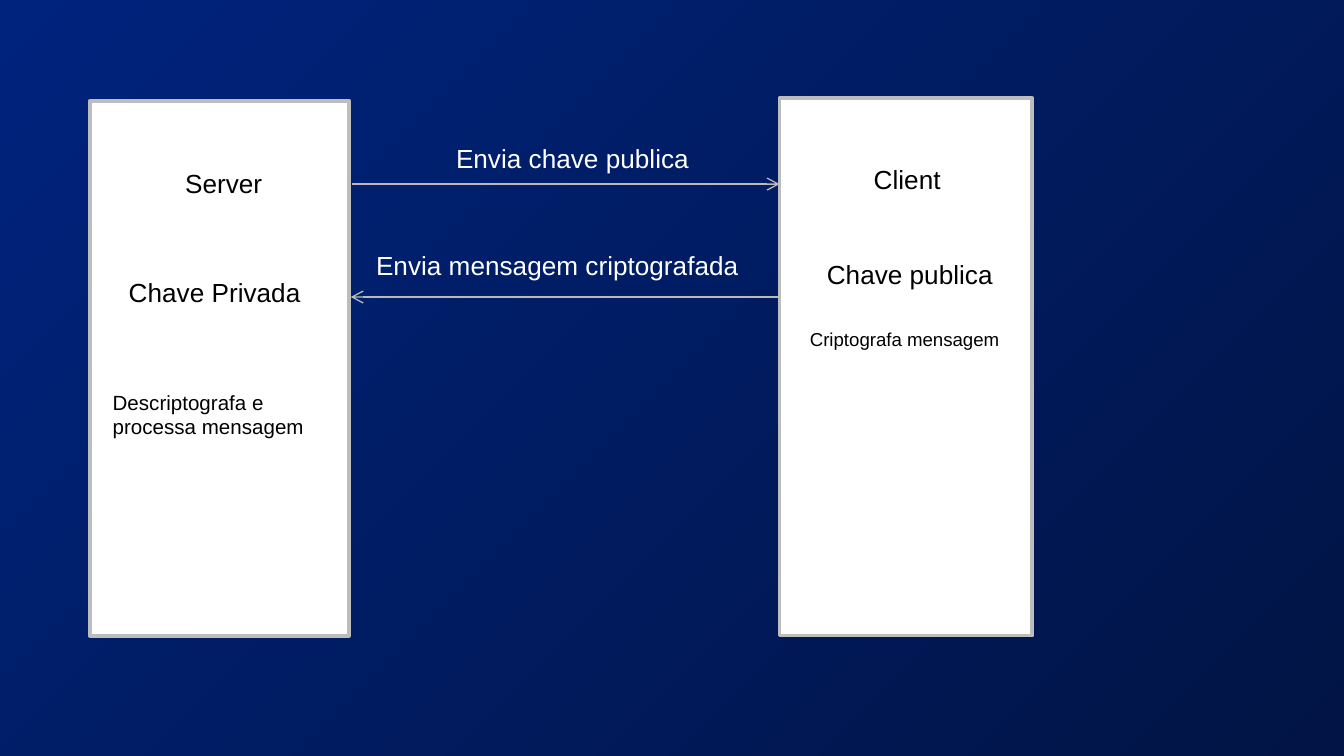
from lxml import etree
from pptx import Presentation
from pptx.dml.color import RGBColor
from pptx.enum.shapes import MSO_CONNECTOR, MSO_SHAPE
from pptx.enum.text import MSO_AUTO_SIZE, PP_ALIGN
from pptx.oxml.ns import qn
from pptx.util import Inches, Pt

LINE = MSO_CONNECTOR.STRAIGHT
RECT = MSO_SHAPE.RECTANGLE
GROW = MSO_AUTO_SIZE.SHAPE_TO_FIT_TEXT
LEFT = PP_ALIGN.LEFT
MID = PP_ALIGN.CENTER

NAVY = RGBColor(0x00, 0x23, 0x7D)
NIGHT = RGBColor(0x01, 0x14, 0x45)
WHITE = RGBColor(0xFF, 0xFF, 0xFF)
BLACK = RGBColor(0x00, 0x00, 0x00)
EDGE = RGBColor(0xBD, 0xBD, 0xBD)
GREY = RGBColor(0xB9, 0xB9, 0xB9)

COLS = 100
FONT = "Arial"


class Board:
    def __init__(self, deck):
        self.slide = deck.slides.add_slide(deck.slide_layouts[6])
        self.shapes = self.slide.shapes
        self.unit = deck.slide_width / COLS

    def grid(self, *cells):
        return [round(cell * self.unit) for cell in cells]

    def back(self, start, end):
        fill = self.slide.background.fill
        fill.gradient()
        fill.gradient_angle = 315
        for stop, color, place in zip(fill.gradient_stops, (start, end), (0, 1)):
            stop.color.rgb = color
            stop.position = place

    def arrow(self, start, end, row):
        link = self.shapes.add_connector(LINE, *self.grid(start, row, end, row))
        link.line.color.rgb = GREY
        link.line.width = Pt(0.75)
        tip = etree.SubElement(link.line._get_or_add_ln(), qn("a:tailEnd"))
        tip.set("type", "arrow")
        etree.SubElement(link._element.spPr, qn("a:effectLst"))

    def label(self, text, area, color=WHITE, size=14, align=MID, home=None):
        box = (home or self.shapes).add_textbox(*self.grid(*area))
        frame = box.text_frame
        frame.word_wrap = True
        frame.auto_size = GROW
        para = frame.paragraphs[0]
        para.alignment = align
        run = para.add_run()
        run.text = text
        run.font.name = FONT
        run.font.size = Pt(size)
        run.font.color.rgb = color

    def panel(self, area, labels):
        home = self.shapes.add_group_shape().shapes
        box = home.add_shape(RECT, *self.grid(*area))
        box.shadow.inherit = False
        box.fill.solid()
        box.fill.fore_color.rgb = WHITE
        box.line.color.rgb = EDGE
        box.line.width = Pt(2)
        for text, place, size, align in labels:
            self.label(text, place, BLACK, size, align, home)


def main():
    deck = Presentation()
    deck.slide_width = Inches(10)
    deck.slide_height = deck.slide_width * 9 // 16
    board = Board(deck)
    board.back(NAVY, NIGHT)

    board.arrow(26.2, 58, 13.7)
    board.label("Envia chave publica", (31, 10.1, 23.2, 3.3))
    board.arrow(58, 26.1, 22.1)
    board.label("Envia mensagem criptografada", (27, 18.1, 29.4, 3.3), align=LEFT)

    board.panel((6.7, 7.5, 19.3, 39.8), [
        ("Server", (8, 12, 17.3, 3.3), 14, MID),
        ("Chave Privada", (8.6, 20.1, 16, 3.3), 14, LEFT),
        ("Descriptografa e processa mensagem", (7.4, 28.5, 18.4, 4.7), 11, LEFT),
    ])
    board.panel((58, 7.3, 18.8, 40), [
        ("Client", (61.1, 11.7, 12.8, 3.3), 14, MID),
        ("Chave publica", (59.2, 18.7, 17, 3.3), 14, MID),
        ("Criptografa mensagem", (58.6, 23.9, 17.4, 2.7), 10, MID),
    ])

    deck.save("out.pptx")


if __name__ == "__main__":
    main()
